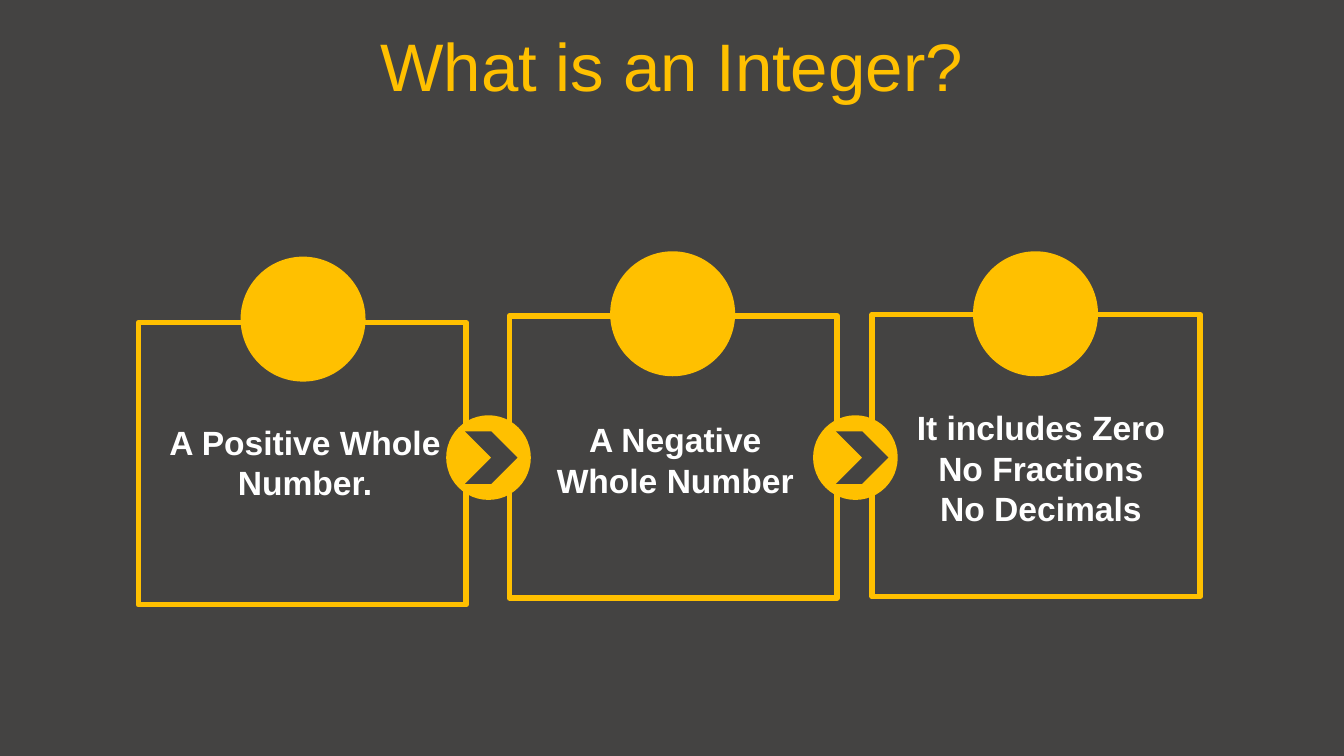
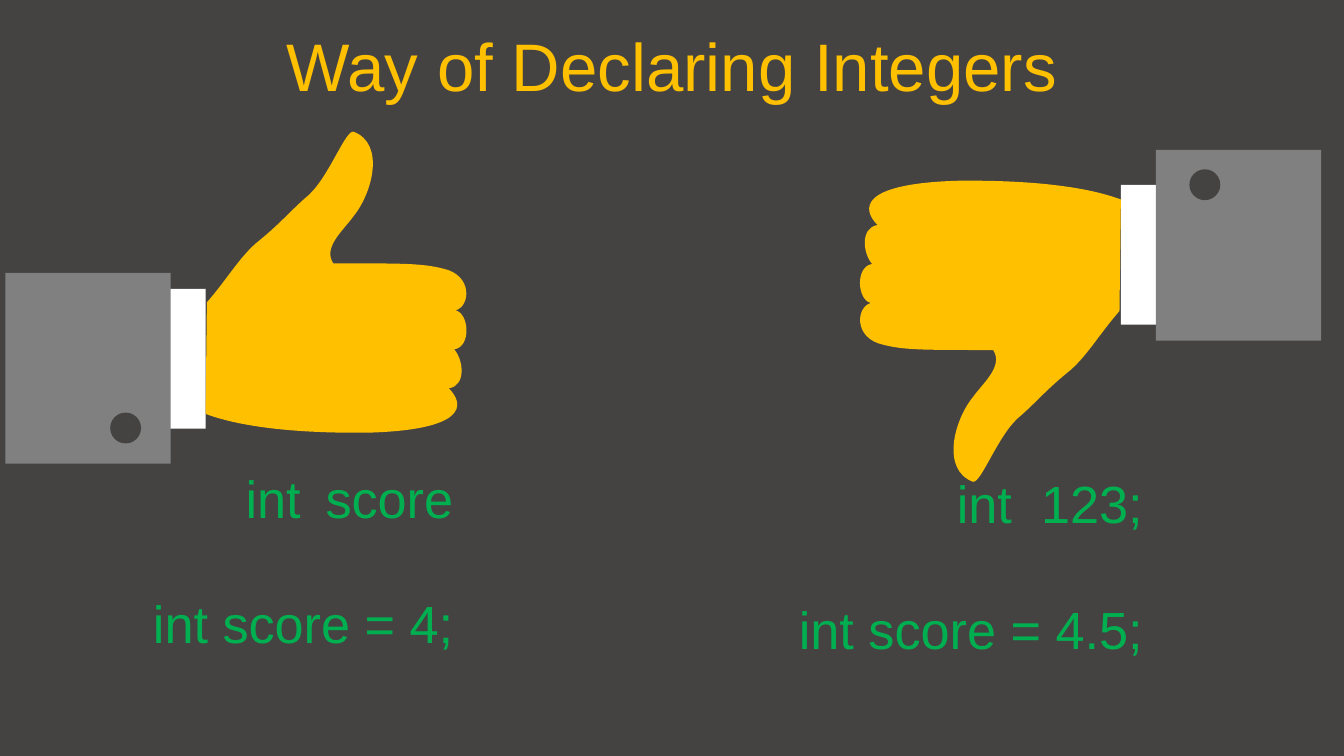
from dataclasses import dataclass

from lxml.etree import SubElement
from pptx import Presentation
from pptx.dml.color import RGBColor
from pptx.enum.shapes import MSO_SHAPE
from pptx.enum.text import MSO_ANCHOR, MSO_AUTO_SIZE, PP_ALIGN
from pptx.oxml.ns import qn
from pptx.shapes.autoshape import Shape
from pptx.slide import Slide
from pptx.text.text import TextFrame
from pptx.util import Inches, Pt

WIDTH, HEIGHT = Inches(10), Inches(5.625)
UNIT = WIDTH // 100

GOLD = RGBColor(0xFF, 0xC0, 0x00)
DARK = RGBColor(0x44, 0x43, 0x42)
GREY = RGBColor(0x80, 0x80, 0x80)
WHITE = RGBColor(0xFF, 0xFF, 0xFF)
GREEN = RGBColor(0x00, 0xB0, 0x50)

TITLE_FONT = {"name": "Arial", "size": Pt(36), "bold": False}
CARD_FONT = {"name": "Arial", "size": Pt(18), "bold": True}
CODE_FONT = {"name": "Arial", "size": Pt(28), "bold": False}
TITLE_FRAME = {"auto_size": MSO_AUTO_SIZE.NONE, "vertical_anchor": MSO_ANCHOR.MIDDLE, "word_wrap": True}
TEXT_FRAME = {"auto_size": MSO_AUTO_SIZE.SHAPE_TO_FIT_TEXT, "word_wrap": True}

TURN_COL, TURN_ROW = 98.7, 45.65


@dataclass(frozen=True)
class Box:
    """A rectangle in grid units, each a hundredth of the slide's width."""

    col: float
    row: float
    cols: float
    rows: float

    def emu(self) -> list[int]:
        """Return left, top, width and height in EMU."""
        return [round(v * UNIT) for v in (self.col, self.row, self.cols, self.rows)]

    def turned(self, turn: bool) -> "Box":
        """Return the box, turned half round the centre of both hands if asked."""
        if not turn:
            return self
        return Box(TURN_COL - self.col - self.cols, TURN_ROW - self.row - self.rows, self.cols, self.rows)


@dataclass(frozen=True)
class Card:
    """A framed statement with a disc on its top edge."""

    col: float
    row: float
    disc_col: float
    disc_row: float
    text: Box
    lines: tuple[str, ...]


@dataclass(frozen=True)
class Step:
    """A round arrow between two cards."""

    col: float
    chevron_col: float


@dataclass(frozen=True)
class Example:
    """A hand, up or turned down, with its lines of code."""

    turn: bool
    button: Box
    text: Box
    gap: int
    lines: tuple[tuple[str, ...], ...]


CARD_COLS, CARD_ROWS, DISC = 24.4, 21, 9.3
STEP_ROW, STEP_SIZE, CHEVRON_ROW, CHEVRON_SIZE = 30.9, 6.3, 32.1, 3.9
CARDS = (
    Card(10.3, 24, 17.9, 19.1, Box(10.5, 30.9, 24.4, 7.1), ("A Positive Whole Number.",)),
    Card(37.9, 23.5, 45.4, 18.7, Box(39.6, 30.7, 21.3, 7.1), ("A Negative Whole Number",)),
    Card(64.9, 23.4, 72.4, 18.7, Box(65.7, 29.8, 23.5, 10.1),
         ("It includes Zero", "No Fractions", "No Decimals")),
)
STEPS = (Step(33.2, 34.6), Step(60.5, 62.2))

CUFF = Box(11.4, 21.5, 3.9, 10.4)
SLEEVE = Box(0.4, 20.3, 12.3, 14.2)
HAND_BOX = Box(15.3, 9.8, 19.4, 22.4)
HAND = (
    ("a:moveTo", 26.3, 9.8),
    ("a:cubicBezTo", 25.7, 9.7, 24.5, 13.1, 23, 14.5),
    ("a:cubicBezTo", 21.7, 15.6, 20.9, 16.6, 19.3, 17.9),
    ("a:cubicBezTo", 17.9, 19, 16.9, 20.8, 15.4, 22.5),
    ("a:lnTo", 15.3, 30.8),
    ("a:cubicBezTo", 19.3, 32.3, 25.8, 32.2, 27.3, 32.2),
    ("a:cubicBezTo", 34.8, 32, 34.6, 30.1, 33.4, 28.9),
    ("a:cubicBezTo", 34.7, 28.7, 34.5, 26.8, 33.8, 26),
    ("a:cubicBezTo", 35.1, 25.8, 34.9, 23.3, 33.9, 23.1),
    ("a:cubicBezTo", 35, 22.8, 35.2, 20.5, 33, 20),
    ("a:cubicBezTo", 31.4, 19.6, 30.2, 19.6, 24.8, 19.6),
    ("a:cubicBezTo", 24, 18.4, 25.6, 17.1, 26.3, 16.1),
    ("a:cubicBezTo", 27.7, 14.4, 28.7, 10.7, 26.3, 9.8),
    ("a:close",),
)
EXAMPLES = (
    Example(False, Box(8.2, 30.7, 2.3, 2.3), Box(3, 34.2, 31.7, 15.1), 550,
            (("int", "score"), ("int score = 4;",))),
    Example(True, Box(88.5, 12.6, 2.3, 2.3), Box(54.3, 34.6, 31.7, 15.1), 780,
            (("int", "123;"), ("int score = 4.5;",))),
)


def set_all(target: object, values: dict) -> None:
    """Set each named attribute of the target."""
    for name, value in values.items():
        setattr(target, name, value)


def add_run(p, text: str, font: dict, colour: RGBColor):
    """Add a formatted run to a paragraph."""
    r = p.add_run()
    r.text = text
    set_all(r.font, font)
    r.font.color.rgb = colour
    return r


def paint(sp: Shape, fill: RGBColor) -> None:
    """Give a shape a flat fill without line or shadow."""
    sp.shadow.inherit = False
    sp.fill.solid()
    sp.fill.fore_color.rgb = fill
    sp.line.fill.background()


def add_solid(shapes, kind: MSO_SHAPE, box: Box, fill: RGBColor) -> None:
    """Add a flat preset shape."""
    paint(shapes.add_shape(kind, *box.emu()), fill)


def add_frame(shapes, box: Box) -> None:
    """Add an unfilled gold rectangle."""
    sp = shapes.add_shape(MSO_SHAPE.RECTANGLE, *box.emu())
    sp.shadow.inherit = False
    sp.fill.background()
    sp.line.color.rgb = GOLD
    sp.line.width = Pt(3)


def add_text(s: Slide, box: Box) -> TextFrame:
    """Add a wrapping text box and return its frame."""
    tf = s.shapes.add_textbox(*box.emu()).text_frame
    set_all(tf, TEXT_FRAME)
    return tf


def next_paragraph(tf: TextFrame, index: int):
    """Return the first paragraph, or a new one after it."""
    return tf.add_paragraph() if index else tf.paragraphs[0]


def add_slide(prs, title: str) -> Slide:
    """Add a slide with a centred gold title."""
    s = prs.slides.add_slide(prs.slide_layouts[5])
    sp = s.shapes.title
    sp.left, sp.top, sp.width, sp.height = Box(0, 1.65, 100, 6.3).emu()
    set_all(sp.text_frame, TITLE_FRAME)
    p = sp.text_frame.paragraphs[0]
    p.alignment = PP_ALIGN.CENTER
    add_run(p, title, TITLE_FONT, GOLD)
    return s


def draw_card(s: Slide, card: Card) -> None:
    """Draw a card's frame, disc and text."""
    shapes = s.shapes.add_group_shape().shapes
    add_frame(shapes, Box(card.col, card.row, CARD_COLS, CARD_ROWS))
    add_solid(shapes, MSO_SHAPE.OVAL, Box(card.disc_col, card.disc_row, DISC, DISC), GOLD)
    tf = add_text(s, card.text)
    for i, line in enumerate(card.lines):
        p = next_paragraph(tf, i)
        p.alignment = PP_ALIGN.CENTER
        add_run(p, line, CARD_FONT, WHITE)


def draw_step(s: Slide, step: Step) -> None:
    """Draw a disc with a chevron."""
    shapes = s.shapes.add_group_shape().shapes
    add_solid(shapes, MSO_SHAPE.OVAL, Box(step.col, STEP_ROW, STEP_SIZE, STEP_SIZE), GOLD)
    add_solid(shapes, MSO_SHAPE.CHEVRON,
              Box(step.chevron_col, CHEVRON_ROW, CHEVRON_SIZE, CHEVRON_SIZE), DARK)


def add_hand(shapes, turn: bool) -> None:
    """Add the hand as a freeform whose outline is made of cubic curves."""
    box = HAND_BOX.turned(turn)
    left, top, width, height = box.emu()
    builder = shapes.build_freeform(left, top)
    builder.add_line_segments([(left + width, top), (left + width, top + height)])
    sp = builder.convert_to_shape()
    outline = sp._element.find(".//" + qn("a:path"))
    for child in list(outline):
        outline.remove(child)
    for tag, *numbers in HAND:
        command = SubElement(outline, qn(tag))
        for x, y in zip(numbers[::2], numbers[1::2]):
            point = Box(x, y, 0, 0).turned(turn)
            SubElement(command, qn("a:pt"), x=str(round((point.col - box.col) * UNIT)),
                       y=str(round((point.row - box.row) * UNIT)))
    paint(sp, GOLD)


def draw_hand(s: Slide, example: Example) -> None:
    """Draw cuff, sleeve, hand and button."""
    shapes = s.shapes.add_group_shape().shapes
    for box, colour in ((CUFF, WHITE), (SLEEVE, GREY)):
        add_solid(shapes, MSO_SHAPE.RECTANGLE, box.turned(example.turn), colour)
    add_hand(shapes, example.turn)
    add_solid(shapes, MSO_SHAPE.OVAL, example.button, DARK)


def draw_code(s: Slide, example: Example) -> None:
    """Write right-aligned code lines, with words parted by a widened space."""
    tf = add_text(s, example.text)
    for i, (first, *others) in enumerate(example.lines):
        p = next_paragraph(tf, i)
        p.alignment = PP_ALIGN.RIGHT
        p.space_before = Pt(33.5 * i)
        add_run(p, first, CODE_FONT, GREEN)
        for word in others:
            r = add_run(p, " ", CODE_FONT, GREEN)
            r.font._element.set("spc", str(example.gap))
            add_run(p, word, CODE_FONT, GREEN)


def main() -> None:
    """Build and save both slides."""
    prs = Presentation()
    prs.slide_width, prs.slide_height = WIDTH, HEIGHT
    fill = prs.slide_master.background.fill
    fill.solid()
    fill.fore_color.rgb = DARK

    s = add_slide(prs, "What is an Integer?")
    for card in CARDS:
        draw_card(s, card)
    for step in STEPS:
        draw_step(s, step)

    s = add_slide(prs, "Way of Declaring Integers")
    for example in EXAMPLES:
        draw_hand(s, example)
    for example in EXAMPLES:
        draw_code(s, example)

    prs.save("out.pptx")


if __name__ == "__main__":
    main()
